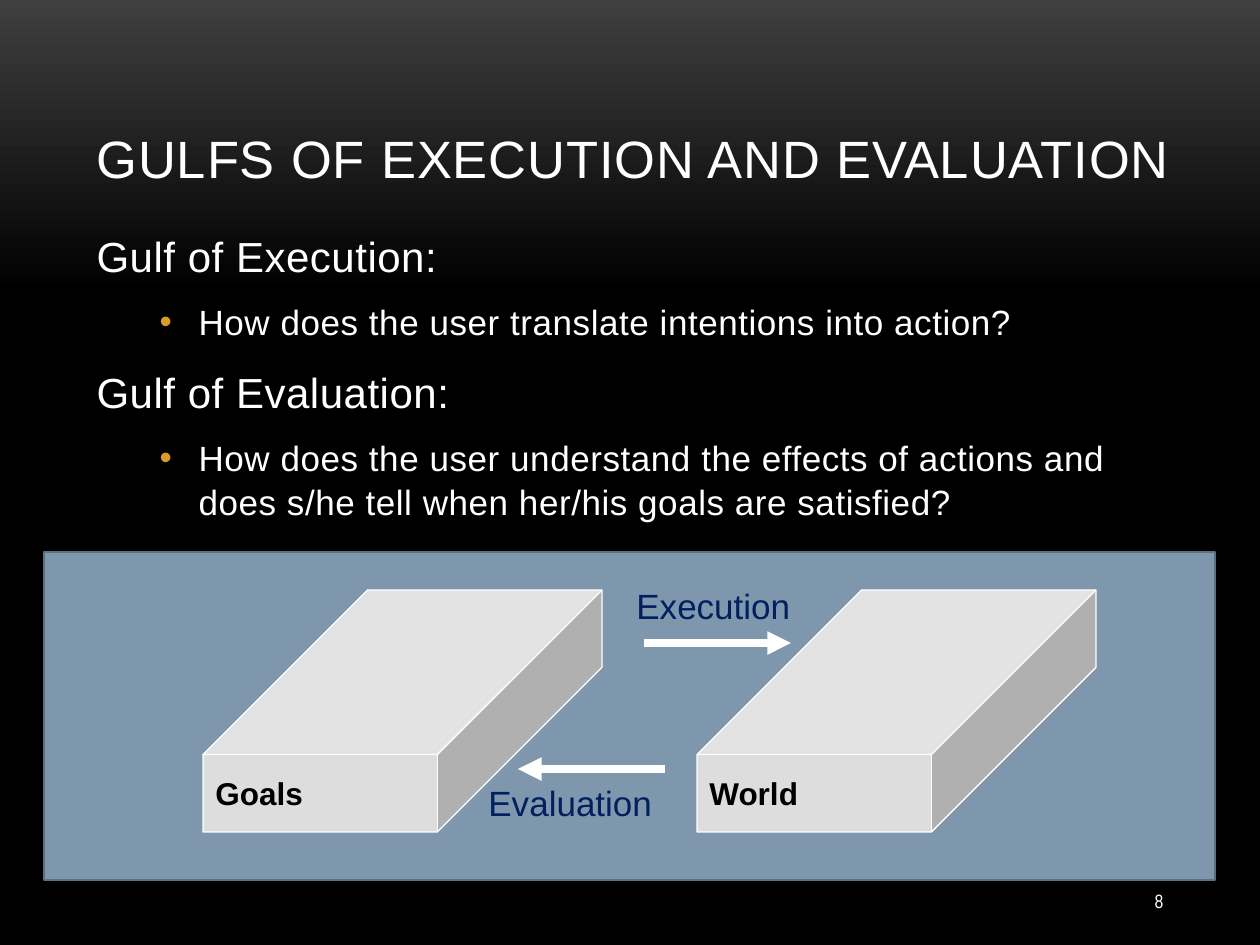
import copy
import pptx
import pptx.util
import pptx.dml.color
import pptx.enum.shapes
import pptx.enum.text
import pptx.oxml
import pptx.oxml.ns

SCALE = 914400 / 126
COLORS = {"text": "FFFFFF", "glow": "3F3F3F", "night": "000000", "bullet": "DC9E1F",
          "panel": "7E97AD", "panel edge": "5D7080", "cube": "DDDDDD",
          "cube text": "000000", "label": "002060"}
ALIGN = pptx.enum.text.PP_ALIGN
ANCHOR = pptx.enum.text.MSO_ANCHOR
SHAPE = pptx.enum.shapes.MSO_SHAPE

TITLE = "GULFS OF EXECUTION AND EVALUATION"
TITLE_BOX = (84, 38, 1132, 157)
BODY = [
    (0, "Gulf of Execution:"),
    (1, "How does the user translate intentions into action?"),
    (0, "Gulf of Evaluation:"),
    (1, "How does the user understand the effects of actions and "
        "does s/he tell when her/his goals are satisfied?"),
]
BODY_BOX = (84, 222, 1092, 567)
LEVELS = [{"size": 24, "before": 6, "left": 0, "hanging": 0},
          {"size": 20, "before": 4, "left": 102, "hanging": 39}]
PAGE_NUMBER = ("8", (1040, 876, 136, 50))
PANEL_BOX = (44, 552, 1171, 328)
CUBES = [("Goals", 203), ("World", 697)]
CUBE_TOP, CUBE_WIDTH, CUBE_HEIGHT = 590, 399, 242
ARROWS = [(644, 791, 643), (665, 518, 769)]
LABELS = [("Execution", (624, 578, 179, 54)), ("Evaluation", (476, 775, 189, 54))]


def px(value):
    return pptx.util.Emu(round(value * SCALE))


def box(values):
    return [px(value) for value in values]


def rgb(name):
    return pptx.dml.color.RGBColor.from_string(COLORS[name])


def set_all(target, values):
    for name, value in values.items():
        setattr(target, name, value)


def add_xml(parent, tag, **attributes):
    element = pptx.oxml.parse_xml(f"<{tag} {pptx.oxml.ns.nsdecls('a')}/>")
    for name, value in attributes.items():
        element.set(name, str(value))
    parent.append(element)
    return element


def write(paragraph, text, size, color, font="Arial", bold=False, spacing=0,
          align=ALIGN.LEFT):
    paragraph.alignment = align
    run = paragraph.add_run()
    run.text = text
    set_all(run.font, {"size": pptx.util.Pt(size), "name": font, "bold": bold})
    run.font.color.rgb = rgb(color)
    if spacing:
        run.font._element.set("spc", str(spacing))


def format_frame(shape, anchor=ANCHOR.TOP, wrap=True):
    frame = shape.text_frame
    set_all(frame, {"auto_size": pptx.enum.text.MSO_AUTO_SIZE.NONE,
                    "vertical_anchor": anchor, "word_wrap": wrap})
    return frame


def place(shape, values):
    set_all(shape, dict(zip(("left", "top", "width", "height"), box(values))))


def paint_background(slide):
    fill = slide.background.fill
    fill.gradient()
    fill.gradient_angle = 270
    for stop, (position, color) in zip(fill.gradient_stops, [(0, "glow"), (0.31, "night")]):
        stop.position = position
        stop.color.rgb = rgb(color)
    last = list(slide._element.iter(pptx.oxml.ns.qn("a:gs")))[-1]
    end = copy.deepcopy(last)
    end.set("pos", "100000")
    last.addnext(end)


def add_title(slide):
    title = slide.shapes.title
    place(title, TITLE_BOX)
    frame = format_frame(title, ANCHOR.BOTTOM)
    write(frame.paragraphs[0], TITLE, 30, "text", spacing=50)


def add_body(slide):
    body = slide.placeholders[1]
    place(body, BODY_BOX)
    frame = format_frame(body)
    for index, (level, text) in enumerate(BODY):
        style = LEVELS[level]
        paragraph = frame.add_paragraph() if index else frame.paragraphs[0]
        properties = paragraph._p.get_or_add_pPr()
        properties.set("marL", str(px(style["left"])))
        properties.set("indent", str(-px(style["hanging"])))
        if level:
            color = add_xml(properties, "a:buClr")
            add_xml(color, "a:srgbClr", val=COLORS["bullet"])
            add_xml(properties, "a:buFont", typeface="Arial")
            add_xml(properties, "a:buChar", char="•")
        else:
            add_xml(properties, "a:buNone")
        before = style["before"] if index else 0
        set_all(paragraph, {"level": level, "line_spacing": 1.05,
                            "space_before": pptx.util.Pt(before),
                            "space_after": pptx.util.Pt(6)})
        write(paragraph, text, style["size"], "text", spacing=30)


def add_block(slide, kind, values, fill, edge, width):
    shape = slide.shapes.add_shape(kind, *box(values))
    shape.shadow.inherit = False
    shape.fill.solid()
    shape.fill.fore_color.rgb = rgb(fill)
    shape.line.color.rgb = rgb(edge)
    shape.line.width = pptx.util.Pt(width)
    return shape


def add_cube(slide, text, left):
    cube = add_block(slide, SHAPE.CUBE, (left, CUBE_TOP, CUBE_WIDTH, CUBE_HEIGHT),
                     "cube", "text", 0.75)
    cube.adjustments[0] = 0.68
    frame = format_frame(cube, ANCHOR.MIDDLE, False)
    write(frame.paragraphs[0], text, 18, "cube text", bold=True)


def add_arrow(slide, start, end, y):
    arrow = slide.shapes.add_connector(pptx.enum.shapes.MSO_CONNECTOR.STRAIGHT,
                                       *box((start, y, end, y)))
    arrow.line.color.rgb = rgb("text")
    arrow.line.width = pptx.util.Pt(4.5)
    add_xml(arrow.line._get_or_add_ln(), "a:tailEnd", type="triangle")
    add_xml(arrow._element.spPr, "a:effectLst")


def add_text(slide, text, values, size, color, anchor=ANCHOR.TOP, wrap=False, **style):
    frame = format_frame(slide.shapes.add_textbox(*box(values)), anchor, wrap)
    write(frame.paragraphs[0], text, size, color, **style)


def main():
    presentation = pptx.Presentation()
    set_all(presentation, {"slide_width": px(1260), "slide_height": px(945)})
    slide = presentation.slides.add_slide(presentation.slide_layouts[1])
    paint_background(slide)
    add_title(slide)
    add_body(slide)
    add_text(slide, *PAGE_NUMBER, 11, "text", ANCHOR.MIDDLE, True,
             font="Arial Narrow", align=ALIGN.RIGHT)
    add_block(slide, SHAPE.RECTANGLE, PANEL_BOX, "panel", "panel edge", 0.85)
    for (text, left), arrow in zip(CUBES, ARROWS):
        add_cube(slide, text, left)
        add_arrow(slide, *arrow)
    for text, values in LABELS:
        add_text(slide, text, values, 20, "label")
    presentation.save("out.pptx")


if __name__ == "__main__":
    main()
